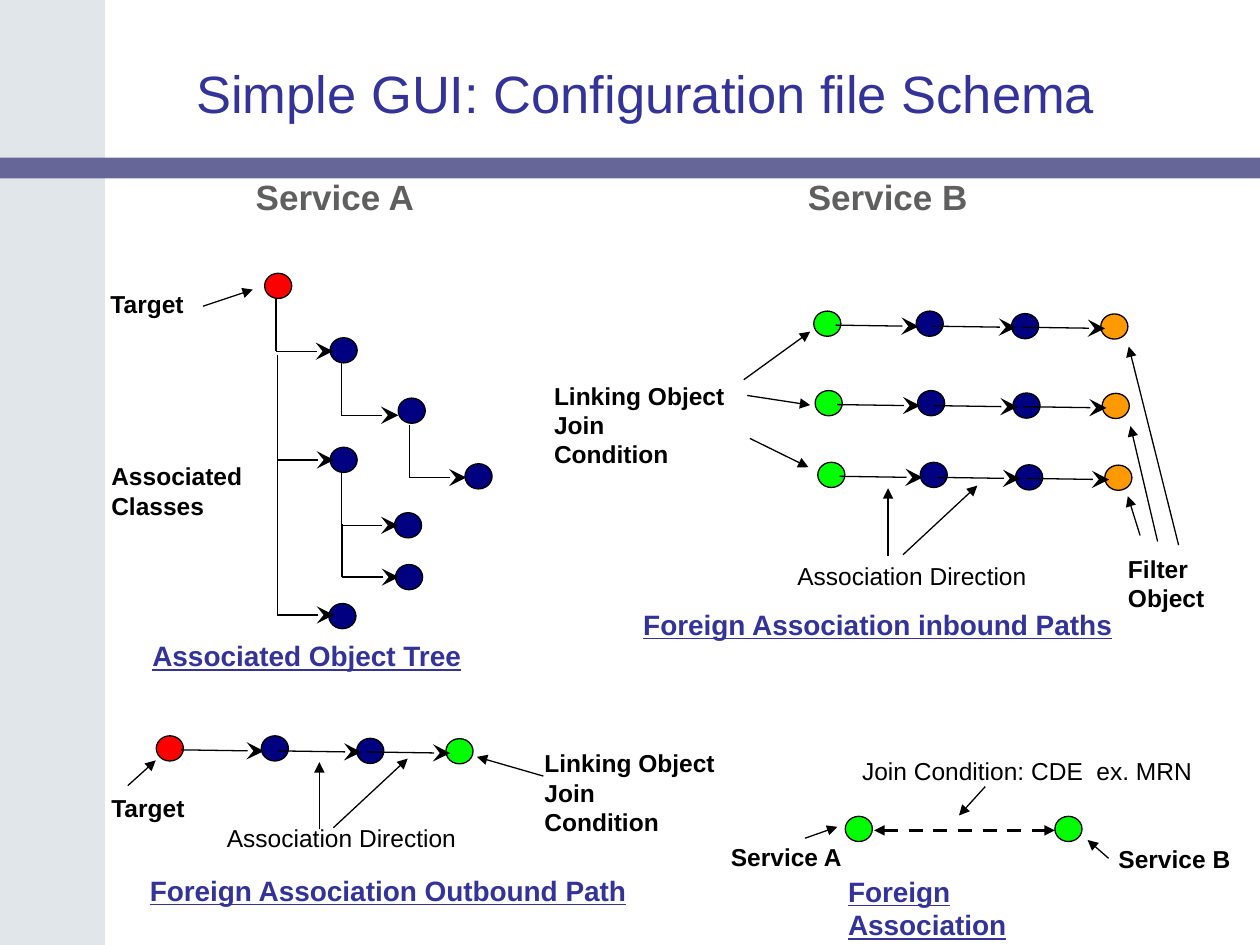
from typing import NamedTuple

from lxml import etree
from pptx import Presentation
from pptx.dml.color import RGBColor
from pptx.enum import dml, shapes, text
from pptx.oxml import ns
from pptx.util import Pt

BLACK = RGBColor(0x00, 0x00, 0x00)
RED = RGBColor(0xFF, 0x00, 0x00)
NAVY = RGBColor(0x00, 0x00, 0x80)
GREEN = RGBColor(0x00, 0xFF, 0x00)
ORANGE = RGBColor(0xFF, 0x99, 0x00)
INDIGO = RGBColor(0x33, 0x33, 0x99)
GREY = RGBColor(0x5F, 0x5F, 0x5F)
BAND = RGBColor(0xE1, 0xE6, 0xEB)
BAR = RGBColor(0x66, 0x66, 0x99)
FONT = "Arial"
DOT_W, DOT_H = 15.5, 14.4
DROP, REACH = 30.1, 32.5  # one vertical and one horizontal step of the tree


class Style(NamedTuple):
    size: float
    color: RGBColor
    bold: bool = True
    underline: bool = False


HEADING = Style(20, GREY)
LABEL = Style(14, BLACK)
NOTE = Style(14, BLACK, bold=False)
CAPTION = Style(16, INDIGO, underline=True)
CAPTION_GAP = Style(14, BLACK, underline=True)


class Label(NamedTuple):
    left: float
    top: float
    width: float
    height: float
    style: Style
    lines: tuple[str, ...]


class Branch(NamedTuple):
    x: float
    top: float
    drops: int
    dot_left: float
    dot_top: float


class Chain(NamedTuple):
    left: float
    top: float
    first: RGBColor
    last: RGBColor
    stretch: float = 0


class Pointer(NamedTuple):
    x1: float
    y1: float
    x2: float
    y2: float


LABELS = [
    Label(139, 96.5, 106, 31.5, HEADING, ("Service A",)),
    Label(454.5, 97, 106, 31.5, HEADING, ("Service B",)),
    Label(56, 161.5, 57, 24.5, LABEL, ("Target",)),
    Label(56.5, 260, 93, 41, LABEL, ("Associated", "Classes")),
    Label(56.5, 449.5, 57, 24.5, LABEL, ("Target",)),
    Label(304, 424, 112, 41, LABEL, ("Linking Object", "Join Condition")),
    Label(309.5, 214, 112, 41, LABEL, ("Linking Object", "Join Condition")),
    Label(637.5, 313, 58, 41, LABEL, ("Filter", "Object")),
    Label(410.5, 477.5, 78.5, 24.5, LABEL, ("Service A",)),
    Label(632, 478.5, 78.5, 24.5, LABEL, ("Service B",)),
    Label(122.5, 466.5, 145.5, 24.5, NOTE, ("Association Direction",)),
    Label(448.5, 317, 145.5, 24.5, NOTE, ("Association Direction",)),
    Label(485.5, 428.5, 203, 24.5, NOTE, ("Join Condition: CDE  ex. MRN",)),
    Label(80, 361.5, 191.5, 26.5, CAPTION, ("Associated Object Tree",)),
    Label(78.5, 495.5, 287, 26.5, CAPTION, ("Foreign Association Outbound Path",)),
    Label(360.5, 343.5, 283, 26.5, CAPTION, ("Foreign Association inbound Paths",)),
]
BRANCHES = [
    Branch(157.8, 170.6, 1, 188.6, 193),
    Branch(158.4, 202.6, 2, 188.6, 255.6),
    Branch(158.4, 261.1, 3, 187.9, 344.9),
    Branch(195.1, 207.2, 1, 227.5, 227.5),
    Branch(195.1, 270.1, 1, 225.4, 293),
    Branch(195.5, 299.7, 1, 226, 322.6),
    Branch(234, 242.8, 1, 265.7, 265),
]
CHAINS = [
    Chain(89.3, 420.5, RED, GREEN, stretch=1.5),
    Chain(465, 177.8, GREEN, ORANGE),
    Chain(465.8, 223.2, GREEN, ORANGE),
    Chain(467.3, 264.2, GREEN, ORANGE),
]
POINTERS = [
    Pointer(310.5, 443.5, 272.5, 432.5),
    Pointer(73, 449, 89, 434.5),
    Pointer(116, 175, 144.5, 165.5),
    Pointer(425, 217, 463, 189.5),
    Pointer(427, 226, 463, 231.5),
    Pointer(428.5, 250.5, 462, 267),
    Pointer(651.5, 306, 644.5, 283.5),
    Pointer(661.5, 309.5, 646, 243.5),
    Pointer(673.5, 311.5, 645, 198),
    Pointer(182.5, 474, 182.5, 435.5),
    Pointer(190.5, 473, 233, 433.5),
    Pointer(507.5, 317.5, 507.5, 279),
    Pointer(516, 317, 558.5, 277.5),
    Pointer(563, 449.5, 548, 466),
    Pointer(460, 479, 478.5, 472.5),
    Pointer(633.5, 490.5, 621.5, 480),
]


def add_run(p, words: str, style: Style) -> None:
    r = p.add_run()
    r.text = words
    f = r.font
    f.name, f.size, f.bold = FONT, Pt(style.size), style.bold
    f.underline = style.underline
    f.color.rgb = style.color


def add_label(s, label: Label):
    box = s.shapes.add_textbox(*map(Pt, label[:4]))
    tf = box.text_frame
    tf.word_wrap = False
    tf.auto_size = text.MSO_AUTO_SIZE.SHAPE_TO_FIT_TEXT
    for i, line in enumerate(label.lines):
        p = tf.add_paragraph() if i else tf.paragraphs[0]
        add_run(p, line, label.style)
    return tf


def add_block(s, kind, left: float, top: float, width: float, height: float, color: RGBColor):
    sp = s.shapes.add_shape(kind, Pt(left), Pt(top), Pt(width), Pt(height))
    sp.shadow.inherit = False
    sp.fill.solid()
    sp.fill.fore_color.rgb = color
    sp.line.fill.background()
    return sp


def add_dot(s, left: float, top: float, color: RGBColor) -> None:
    sp = add_block(s, shapes.MSO_SHAPE.OVAL, left, top, DOT_W, DOT_H, color)
    sp.line.color.rgb = BLACK
    sp.line.width = Pt(0.75)


def add_line(s, x1: float, y1: float, x2: float, y2: float,
             head: str = "", tail: str = "", size: str = "med", width: float = 0.75):
    c = s.shapes.add_connector(shapes.MSO_CONNECTOR.STRAIGHT, Pt(x1), Pt(y1), Pt(x2), Pt(y2))
    c.line.color.rgb = BLACK
    c.line.width = Pt(width)
    ln = c.line._get_or_add_ln()
    for tag, kind in (("a:headEnd", head), ("a:tailEnd", tail)):
        if kind:
            etree.SubElement(ln, ns.qn(tag), type=kind, w=size, len=size)
    etree.SubElement(c._element.spPr, ns.qn("a:effectLst"))
    return c


def add_branch(s, b: Branch) -> None:
    """Draw the stem in equal drops, then the arrow to the child dot."""
    add_dot(s, b.dot_left, b.dot_top, NAVY)
    for i in range(b.drops):
        add_line(s, b.x, b.top + i * DROP, b.x, b.top + (i + 1) * DROP)
    y = b.top + b.drops * DROP
    add_line(s, b.x, y, b.x + REACH, y, tail="stealth", size="lg")


def add_chain(s, c: Chain) -> None:
    add_dot(s, c.left, c.top, c.first)
    for dx, dy, color in ((58.5, 0, NAVY), (113, 1.4, NAVY), (164, 1.6, c.last)):
        add_dot(s, c.left + dx + c.stretch, c.top + dy, color)
    for dx, dy in ((12.5, 8), (68.2, 8.6), (119, 9.2)):
        x, y = c.left + dx + c.stretch, c.top + dy
        add_line(s, x, y, x + 47.5, y + 0.7, tail="stealth", size="lg")


def main() -> None:
    prs = Presentation()
    prs.slide_width, prs.slide_height = Pt(720), Pt(540)
    s = prs.slides.add_slide(prs.slide_layouts[5])

    add_block(s, shapes.MSO_SHAPE.RECTANGLE, 0, 0, 60, 540, BAND)
    bar = add_block(s, shapes.MSO_SHAPE.ROUNDED_RECTANGLE, 0, 90, 720, 12, BAR)
    bar.adjustments[0] = 0.01

    title = s.shapes.title
    title.left, title.top, title.width, title.height = map(Pt, (54, 21.5, 630, 63))
    tf = title.text_frame
    tf.vertical_anchor = text.MSO_ANCHOR.MIDDLE
    tf.paragraphs[0].alignment = text.PP_ALIGN.CENTER
    add_run(tf.paragraphs[0], "Simple GUI: Configuration file Schema", Style(30, INDIGO, bold=False))

    add_dot(s, 151.2, 156.2, RED)
    for branch in BRANCHES:
        add_branch(s, branch)
    for chain in CHAINS:
        add_chain(s, chain)

    for left in (483, 602.8):
        add_dot(s, left, 466.5, GREEN)
    join = add_line(s, 499.5, 474.5, 602.8, 474.5, head="triangle", tail="triangle", width=2)
    join.line.dash_style = dml.MSO_LINE.DASH

    for pointer in POINTERS:
        add_line(s, *pointer, tail="triangle")
    for label in LABELS:
        add_label(s, label)
    tf = add_label(s, Label(477.5, 496, 167, 26.5, CAPTION, ("Foreign",)))
    add_run(tf.paragraphs[0], " ", CAPTION_GAP)
    add_run(tf.paragraphs[0], "Association", CAPTION)

    prs.save("out.pptx")


if __name__ == "__main__":
    main()
